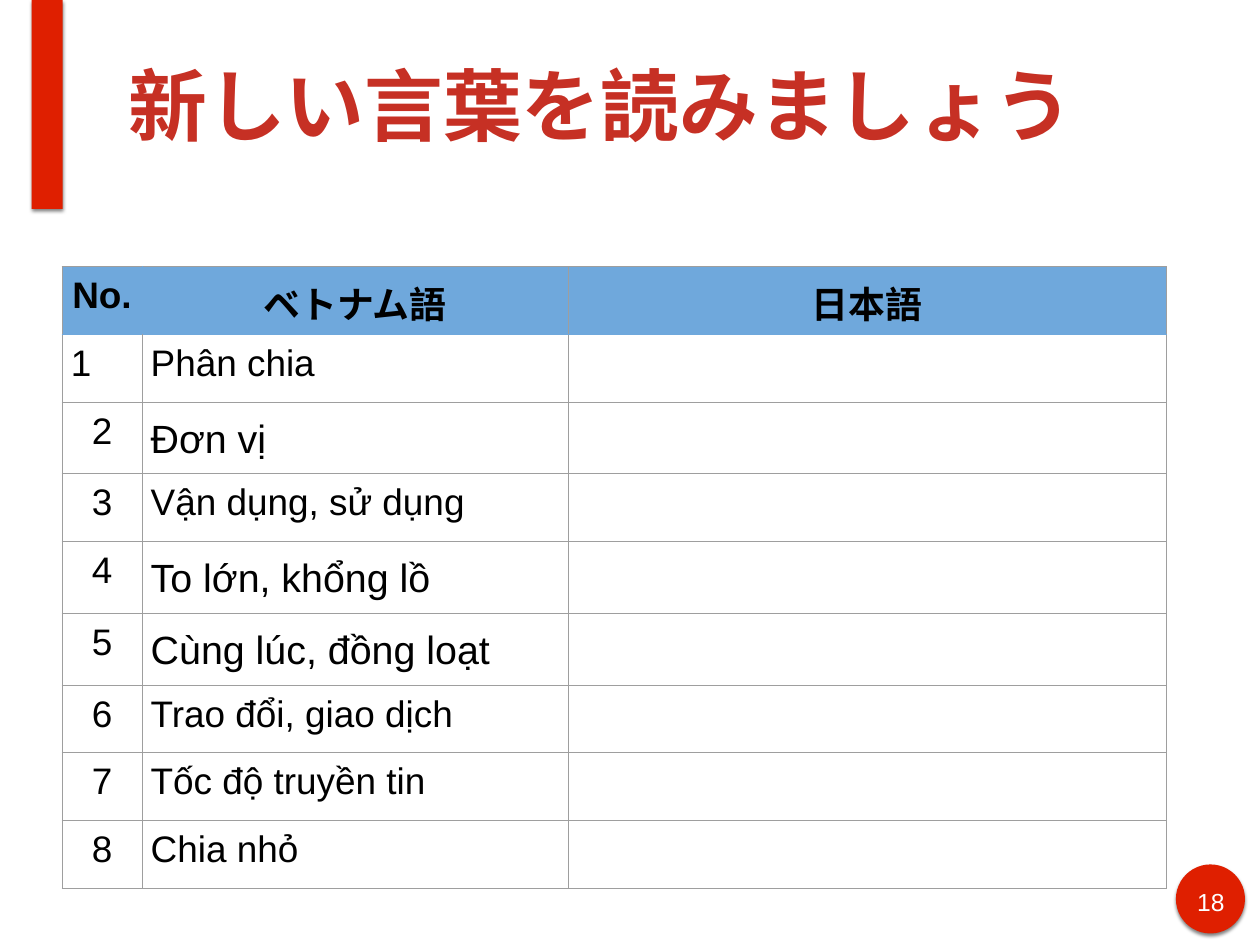
import dataclasses

import pptx
import pptx.dml.color
import pptx.enum.shapes
import pptx.enum.text
import pptx.oxml
import pptx.oxml.ns
import pptx.util
from pptx.util import Cm

ALIGN = pptx.enum.text.PP_ALIGN
ANCHOR = pptx.enum.text.MSO_ANCHOR
SHAPE = pptx.enum.shapes.MSO_SHAPE


@dataclasses.dataclass(frozen=True)
class Theme:
    """Font, colours and type sizes of the slide."""
    font: str = "Arial"
    accent: str = "DF1F00"
    heading: str = "C63024"
    header: str = "6FA8DC"
    grid: str = "9E9E9E"
    ink: str = "000000"
    paper: str = "FFFFFF"
    title_size: int = 64
    spaced_size: int = 32
    cell_size: int = 30
    number_size: int = 20


THEME = Theme()
HEADINGS = ("No.", "ベトナム語", "日本語")
WORDS = (
    ("Phân chia", None),
    ("Đơn vị", ALIGN.LEFT),
    ("Vận dụng, sử dụng", None),
    ("To lớn, khổng lồ", ALIGN.JUSTIFY),
    ("Cùng lúc, đồng loạt", ALIGN.JUSTIFY),
    ("Trao đổi, giao dịch", None),
    ("Tốc độ truyền tin", None),
    ("Chia nhỏ", None),
)
COLUMN_WIDTHS = (2.29, 12.22, 17.15)
ROW_HEIGHT = 1.94


def rgb(colour):
    """Return the colour object for a hex value."""
    return pptx.dml.color.RGBColor.from_string(colour)


def write(frame, text, size, colour, bold=False, align=ALIGN.LEFT):
    """Write one run into the frame's first paragraph and return the paragraph."""
    paragraph = frame.paragraphs[0]
    paragraph.alignment = align
    run = paragraph.add_run()
    run.text = text
    run.font.name = THEME.font
    run.font.size = pptx.util.Pt(size)
    run.font.bold = bold
    run.font.color.rgb = rgb(colour)
    return paragraph


def set_insets(holder, inset):
    """Give a text frame or a cell the same inset on all sides."""
    holder.margin_left = holder.margin_right = Cm(inset)
    holder.margin_top = holder.margin_bottom = Cm(inset)


def add_accent(slide, kind, left, top, width, height):
    """Add a red shape with a soft shadow below it."""
    accent = slide.shapes.add_shape(kind, Cm(left), Cm(top), Cm(width), Cm(height))
    accent.fill.solid()
    accent.fill.fore_color.rgb = rgb(THEME.accent)
    accent.line.fill.background()
    accent.shadow.inherit = False
    effects = accent._element.spPr.find(pptx.oxml.ns.qn("a:effectLst"))
    effects.append(pptx.oxml.parse_xml(
        f'<a:outerShdw {pptx.oxml.ns.nsdecls("a")} blurRad="38100" dist="25400" '
        f'dir="5400000" rotWithShape="0"><a:srgbClr val="{THEME.ink}">'
        '<a:alpha val="50000"/></a:srgbClr></a:outerShdw>'))


def add_title(slide, text):
    """Place and fill the title placeholder."""
    title = slide.shapes.title
    title.left, title.top, title.width, title.height = Cm(3.53), Cm(0.3), Cm(30.84), Cm(5.38)
    frame = title.text_frame
    frame.auto_size = pptx.enum.text.MSO_AUTO_SIZE.NONE
    frame.vertical_anchor = ANCHOR.MIDDLE
    set_insets(frame, 0.15)
    write(frame, text, THEME.title_size, THEME.heading, bold=True)


def add_page_number(slide, number):
    """Add the page number on the red disc."""
    label = slide.shapes.add_textbox(Cm(34.09), Cm(25.27), Cm(1.24), Cm(0.99))
    label.text_frame.word_wrap = True
    set_insets(label.text_frame, 0.15)
    write(label.text_frame, number, THEME.number_size, THEME.paper, align=ALIGN.CENTER)


def set_borders(cell, **colours):
    """Draw the four cell borders, grey unless a side has its own colour."""
    properties = cell._tc.get_or_add_tcPr()
    for side in "LRTB":
        properties.append(pptx.oxml.parse_xml(
            f'<a:ln{side} {pptx.oxml.ns.nsdecls("a")} w="9525"><a:solidFill>'
            f'<a:srgbClr val="{colours.get(side, THEME.grid)}"/></a:solidFill></a:ln{side}>'))


def fill_header(table):
    """Fill the heading row, whose first two cells read as one band."""
    for column, heading in enumerate(HEADINGS):
        cell = table.cell(0, column)
        hidden_sides = ("BR", "BL", "B")[column]
        set_borders(cell, **dict.fromkeys(hidden_sides, THEME.header))
        cell.fill.solid()
        cell.fill.fore_color.rgb = rgb(THEME.header)
        write(cell.text_frame, heading, THEME.cell_size, THEME.ink, True, ALIGN.CENTER)


def fill_word(table, row, word, spaced_align):
    """Fill one numbered word row, leaving the Japanese cell open."""
    for column in range(len(HEADINGS)):
        cell = table.cell(row, column)
        set_borders(cell, T=THEME.header if row == 1 else THEME.grid)
        cell.fill.background()
    number_align = ALIGN.LEFT if row == 1 else ALIGN.CENTER
    write(table.cell(row, 0).text_frame, str(row), THEME.cell_size, THEME.ink, align=number_align)
    vietnamese = table.cell(row, 1).text_frame
    if spaced_align is None:
        write(vietnamese, word, THEME.cell_size, THEME.ink)
    else:
        entry = write(vietnamese, word, THEME.spaced_size, THEME.ink, align=spaced_align)
        entry.line_spacing = 1.15
        entry.space_after = pptx.util.Pt(25)


def add_vocabulary(slide):
    """Add the vocabulary table."""
    row_count = len(WORDS) + 1
    table = slide.shapes.add_table(
        row_count, len(HEADINGS), Cm(1.78), Cm(7.65),
        Cm(sum(COLUMN_WIDTHS)), Cm(ROW_HEIGHT * row_count)).table
    table.first_row = table.horz_banding = False
    for column, width in zip(table.columns, COLUMN_WIDTHS):
        column.width = Cm(width)
    for row in table.rows:
        row.height = Cm(ROW_HEIGHT)
    for cell in table.iter_cells():
        set_insets(cell, 0.25)
    fill_header(table)
    for row, (word, spaced_align) in enumerate(WORDS, start=1):
        fill_word(table, row, word, spaced_align)


def main():
    """Build the slide and save it."""
    deck = pptx.Presentation()
    deck.slide_width, deck.slide_height = Cm(36.12), Cm(27.1)
    slide = deck.slides.add_slide(deck.slide_layouts[5])
    add_accent(slide, SHAPE.OVAL, 33.71, 24.79, 1.98, 1.98)
    add_accent(slide, SHAPE.RECTANGLE, 0.91, 0, 0.89, 5.99)
    add_page_number(slide, "18")
    add_title(slide, "新しい言葉を読みましょう")
    add_vocabulary(slide)
    deck.save("out.pptx")


if __name__ == "__main__":
    main()
